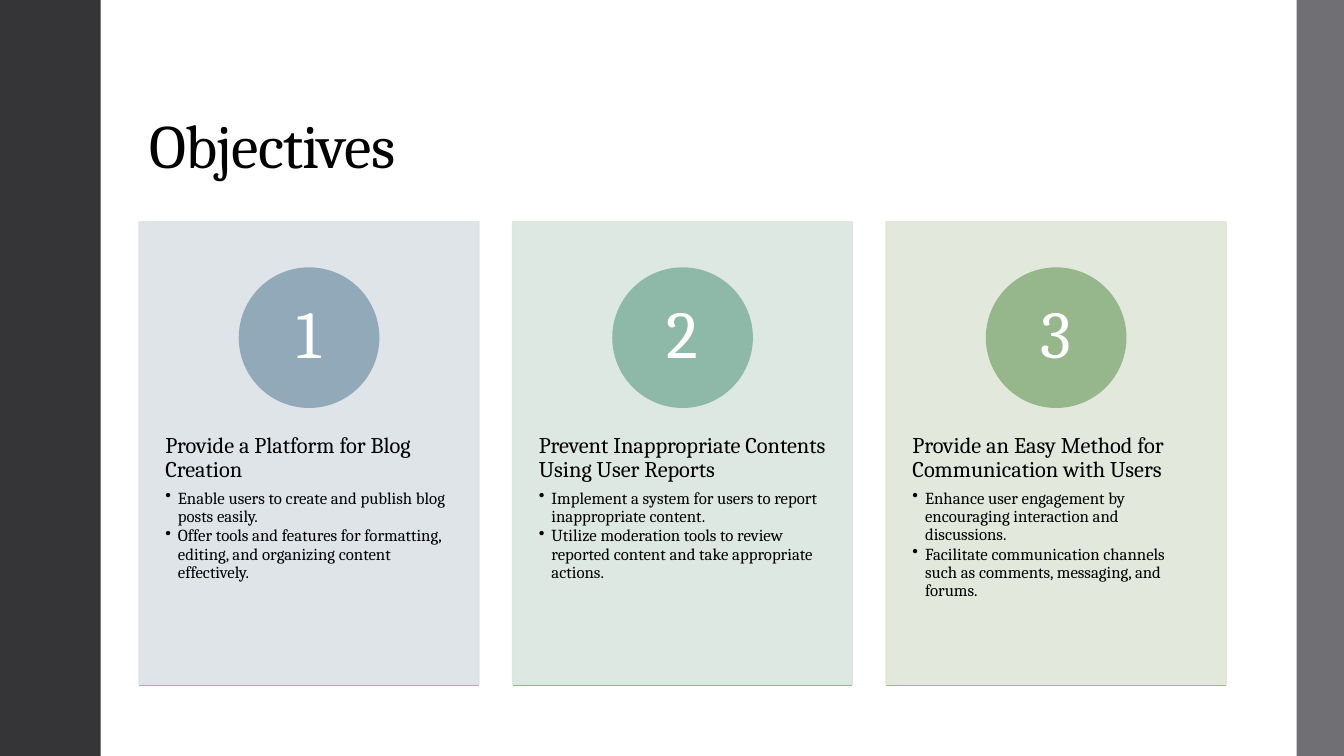
import pptx
import pptx.util
import pptx.dml.color
import pptx.enum.shapes
import pptx.enum.text
import pptx.oxml.ns
import lxml.etree

Inches = pptx.util.Inches
Pt = pptx.util.Pt
qn = pptx.oxml.ns.qn
SHAPE = pptx.enum.shapes.MSO_SHAPE
ALIGN = pptx.enum.text.PP_ALIGN
ANCHOR = pptx.enum.text.MSO_ANCHOR

COLORS = {
    "black": "000000",
    "white": "FFFFFF",
    "left_band": "353537",
    "right_band": "6F6F74",
    "cards": ["DCE2E6", "DBE6DF", "E1E6DA"],
    "circles": ["92A9B9", "8EB8A7", "95B78B"],
    "rules": ["90B9B8", "8DB894", "A7B789"],
}

OBJECTIVES = [
    ("Provide a Platform for Blog Creation", [
        "Enable users to create and publish blog posts easily.",
        "Offer tools and features for formatting, editing, and organizing content effectively."]),
    ("Prevent Inappropriate Contents Using User Reports", [
        "Implement a system for users to report inappropriate content.",
        "Utilize moderation tools to review reported content and take appropriate actions."]),
    ("Provide an Easy Method for Communication with Users", [
        "Enhance user engagement by encouraging interaction and discussions.",
        "Facilitate communication channels such as comments, messaging, and forums."]),
]

CARD_LEFT, CARD_TOP, CARD_WIDTH, CARD_HEIGHT = 1.38, 2.2, 3.37, 4.59
CARD_PITCH = 3.705
CIRCLE_SIZE = 1.38
NUMBER_SIZE = 0.97


def rgb(color):
    return pptx.dml.color.RGBColor.from_string(color)


def write(paragraph, text, size, color=COLORS["black"], font="Cambria",
          align=ALIGN.LEFT, after=0, bullet=False, spacing=None):
    paragraph.alignment = align
    paragraph.line_spacing = 0.9
    paragraph.space_after = Pt(after)
    run = paragraph.add_run()
    run.text = text
    run.font.size = Pt(size)
    run.font.name = font
    run.font.color.rgb = rgb(color)
    if spacing is not None:
        run.font._element.set("spc", str(int(spacing * 100)))
    if bullet:
        properties = paragraph._p.get_or_add_pPr()
        properties.set("marL", str(Inches(0.125)))
        properties.set("indent", str(-Inches(0.125)))
        lxml.etree.SubElement(properties, qn("a:buChar")).set("char", "•")


class ObjectivesSlide:
    line_width = Pt(1.1)

    def __init__(self, presentation):
        self.slide = presentation.slides.add_slide(presentation.slide_layouts[6])

    def block(self, kind, left, top, width, height, color, outlined=True, opacity=100):
        block = self.slide.shapes.add_shape(
            kind, Inches(left), Inches(top), Inches(width), Inches(height))
        block.shadow.inherit = False
        block.fill.solid()
        block.fill.fore_color.rgb = rgb(color)
        if outlined:
            block.line.color.rgb = rgb(color)
            block.line.width = self.line_width
        else:
            block.line.fill.background()
        if opacity < 100:
            for tone in block._element.spPr.iter(qn("a:srgbClr")):
                lxml.etree.SubElement(tone, qn("a:alpha")).set("val", str(opacity * 1000))

    def rule(self, left, top, width, color):
        rule = self.slide.shapes.add_connector(
            pptx.enum.shapes.MSO_CONNECTOR.STRAIGHT,
            Inches(left), Inches(top), Inches(left + width), Inches(top))
        rule.line.color.rgb = rgb(color)
        rule.line.width = self.line_width
        lxml.etree.SubElement(rule._element.spPr, qn("a:effectLst"))

    def text_frame(self, left, top, width, height, anchor=ANCHOR.TOP, insets=(0.1, 0.05)):
        frame = self.slide.shapes.add_textbox(
            Inches(left), Inches(top), Inches(width), Inches(height)).text_frame
        frame.word_wrap = True
        frame.vertical_anchor = anchor
        frame.margin_left = frame.margin_right = Inches(insets[0])
        frame.margin_top = frame.margin_bottom = Inches(insets[1])
        return frame

    def card(self, index, heading, points):
        left = CARD_LEFT + index * CARD_PITCH
        center = left + CARD_WIDTH / 2
        self.block(SHAPE.RECTANGLE, left, CARD_TOP, CARD_WIDTH, CARD_HEIGHT,
                   COLORS["cards"][index], opacity=90)

        details = self.text_frame(left, 3.95, CARD_WIDTH, 2.76, insets=(0.26, 0.36))
        write(details.paragraphs[0], heading, size=16, after=5)
        for point in points:
            write(details.add_paragraph(), point, size=12, after=1, bullet=True)

        self.block(SHAPE.OVAL, center - CIRCLE_SIZE / 2, 2.66, CIRCLE_SIZE, CIRCLE_SIZE,
                   COLORS["circles"][index])
        number = self.text_frame(center - NUMBER_SIZE / 2, 2.86, NUMBER_SIZE, NUMBER_SIZE,
                                 anchor=ANCHOR.MIDDLE, insets=(0.11, 0.01))
        write(number.paragraphs[0], str(index + 1), size=48, color=COLORS["white"],
              align=ALIGN.CENTER)
        self.rule(left, 6.8, CARD_WIDTH, COLORS["rules"][index])


def main():
    presentation = pptx.Presentation()
    presentation.slide_width = Inches(13.33)
    presentation.slide_height = Inches(7.5)
    objectives = ObjectivesSlide(presentation)

    title = objectives.text_frame(1.38, 0.4, 10.78, 1.45, anchor=ANCHOR.BOTTOM)
    write(title.paragraphs[0], "Objectives", size=44, spacing=-0.5)
    objectives.block(SHAPE.RECTANGLE, 0, 0, 1, 7.5, COLORS["left_band"], outlined=False)
    objectives.block(SHAPE.RECTANGLE, 12.86, 0, 0.47, 7.5, COLORS["right_band"], outlined=False)
    for index, (heading, points) in enumerate(OBJECTIVES):
        objectives.card(index, heading, points)

    presentation.save("out.pptx")


if __name__ == "__main__":
    main()
